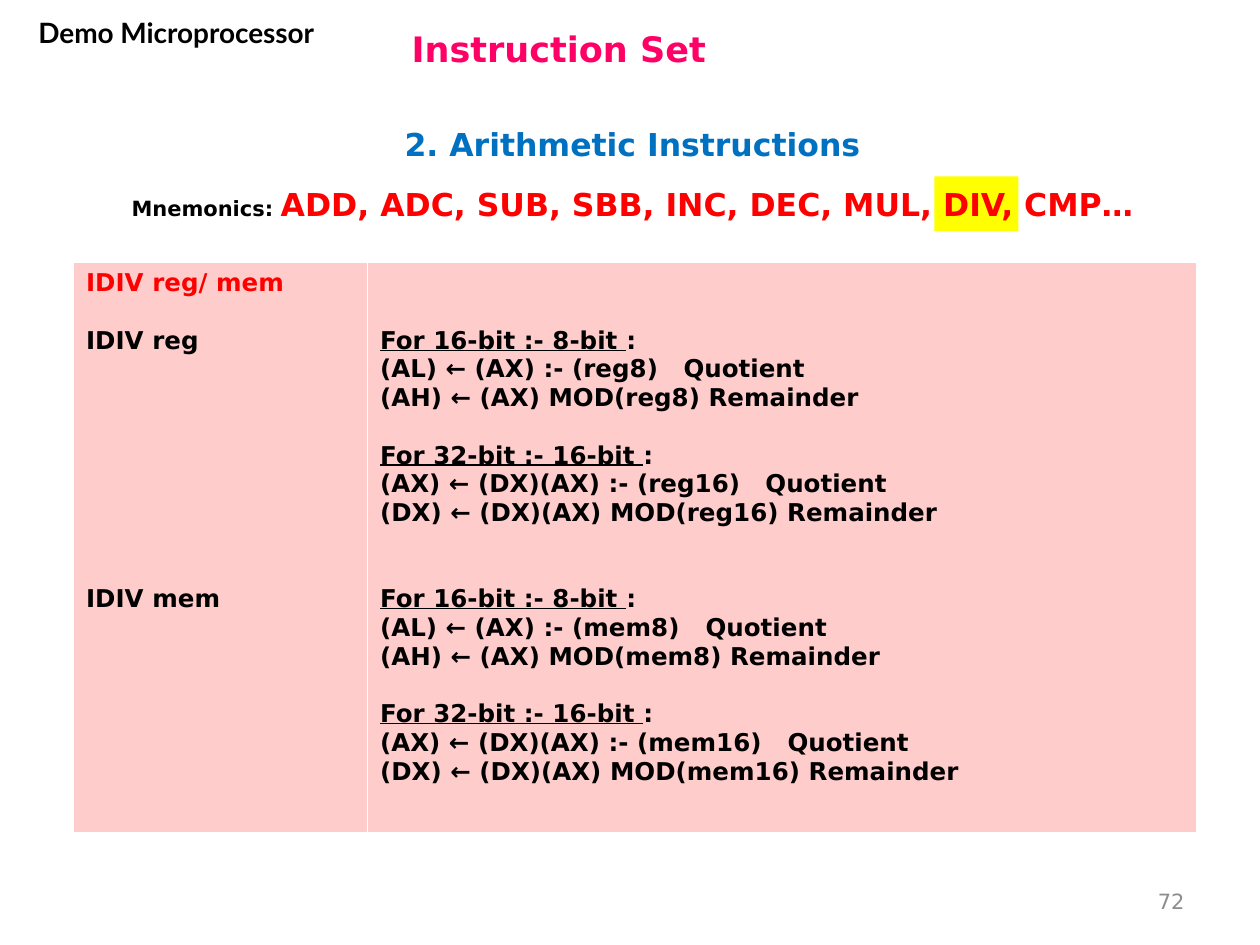
from pptx import Presentation
from pptx.dml.color import RGBColor as RGB
from pptx.enum.shapes import MSO_SHAPE as Kind
from pptx.enum.text import MSO_ANCHOR as Anchor, MSO_AUTO_SIZE as Fit, PP_ALIGN as Align
from pptx.oxml.xmlchemy import OxmlElement as Node
from pptx.util import Inches, Pt

SANS = "DejaVu Sans"
BLACK, RED, PINK = "000000", "FF0000", "FFCCCC"
LINE = 16.4
TITLE = ("Instruction Set", (38, 1.4, 79, 6.4))
MARK = (89, 16.8, 8, 5.2)
LABELS = [
    ([("2. Arithmetic Instructions", 18, "0070C0")], (3.5, 11.1, 113.5, 5.2), Align.CENTER, Anchor.MIDDLE, SANS, True),
    ([("72", 12, "8C8C8C")], (86, 83.4, 28, 4.8), Align.RIGHT, Anchor.MIDDLE, SANS, False),
    ([("Demo Microprocessor", 16, BLACK)], (0.8, 0.9, 32, 7.7), Align.CENTER, Anchor.TOP, "Lato", True),
    ([("Mnemonics: ", 12, BLACK), ("ADD, ADC, SUB, SBB, INC, DEC, MUL, DIV, CMP…", 18, RED)],
     (3.5, 17, 113.5, 4.8), Align.CENTER, Anchor.TOP, SANS, True),
]
GRID = (7, 25, 107, 54.3)
COLS = (28, 79)
FORMS = [("IDIV reg/ mem", RED, 0), ("IDIV reg", BLACK, 1), ("IDIV mem", BLACK, 8)]
KINDS = [("reg", 0), ("mem", 2)]
SIZES = [
    ("For 16-bit :- 8-bit ", "AL", "AH", "(AX)", 8),
    ("For 32-bit :- 16-bit ", "AX", "DX", "(DX)(AX)", 16),
]
STOPS = {"reg8": 28.9, "reg16": 36.7, "mem8": 31, "mem16": 38.8}


def unit(n):
    return Inches(n / 12)


def place(box):
    return [unit(n) for n in box]


def tint(hue):
    return RGB.from_string(hue)


def style(font, size, hue=None, face=SANS, bold=True):
    font.size, font.name, font.bold = Pt(size), face, bold
    if hue:
        font.color.rgb = tint(hue)


def label(slide, runs, box, align, anchor, face, bold):
    frame = slide.shapes.add_textbox(*place(box)).text_frame
    frame.word_wrap = True
    frame.vertical_anchor = anchor
    para = frame.paragraphs[0]
    para.alignment = align
    for text, size, hue in runs:
        run = para.add_run()
        run.text = text
        style(run.font, size, hue, face, bold)


def write(frame, parts, gap=0, hue=BLACK, stop=None):
    para = frame.paragraphs[0]
    if para.runs:
        para = frame.add_paragraph()
        para.space_before = Pt(gap * LINE)
    if stop:
        tabs, tab = Node("a:tabLst"), Node("a:tab")
        tab.set("pos", str(unit(stop)))
        tab.set("algn", "l")
        tabs.append(tab)
        para._p.get_or_add_pPr().append(tabs)
    style(para.font, 14, hue)
    for text, under in parts:
        run = para.add_run()
        run.text = text
        style(run.font, 14, hue)
        if under:
            run.font.underline = True


def fill(table):
    for col, wide in zip(table.columns, COLS):
        col.width = unit(wide)
    left, right = table.rows[0].cells
    for cell in (left, right):
        cell.fill.solid()
        cell.fill.fore_color.rgb = tint(PINK)
    right.margin_top = Inches(0.05) + Pt(2 * LINE)
    for text, hue, gap in FORMS:
        write(left.text_frame, [(text, False)], gap, hue)
    for kind, lead in KINDS:
        for row, (head, quot, rest, src, bits) in enumerate(SIZES):
            name = f"{kind}{bits}"
            write(right.text_frame, [(head, True), (":", False)], 1 if row else lead)
            write(right.text_frame, [(f"({quot}) ← {src} :- ({name})\tQuotient", False)], stop=STOPS[name])
            write(right.text_frame, [(f"({rest}) ← {src} MOD({name}) Remainder", False)])


def main():
    deck = Presentation()
    deck.slide_width, deck.slide_height = Inches(10), Inches(7.5)
    slide = deck.slides.add_slide(deck.slide_layouts[5])
    title = slide.shapes.title
    title.left, title.top, title.width, title.height = place(TITLE[1])
    frame = title.text_frame
    frame.text = TITLE[0]
    frame.auto_size = Fit.NONE
    frame.vertical_anchor = Anchor.MIDDLE
    para = frame.paragraphs[0]
    para.alignment = Align.LEFT
    style(para.font, 20, "FF0066")

    mark = slide.shapes.add_shape(Kind.RECTANGLE, *place(MARK))
    mark.shadow.inherit = False
    mark.fill.solid()
    mark.fill.fore_color.rgb = tint("FFFF00")
    mark.line.fill.background()

    for item in LABELS:
        label(slide, *item)
    fill(slide.shapes.add_table(1, 2, *place(GRID)).table)
    deck.save("out.pptx")


if __name__ == "__main__":
    main()
